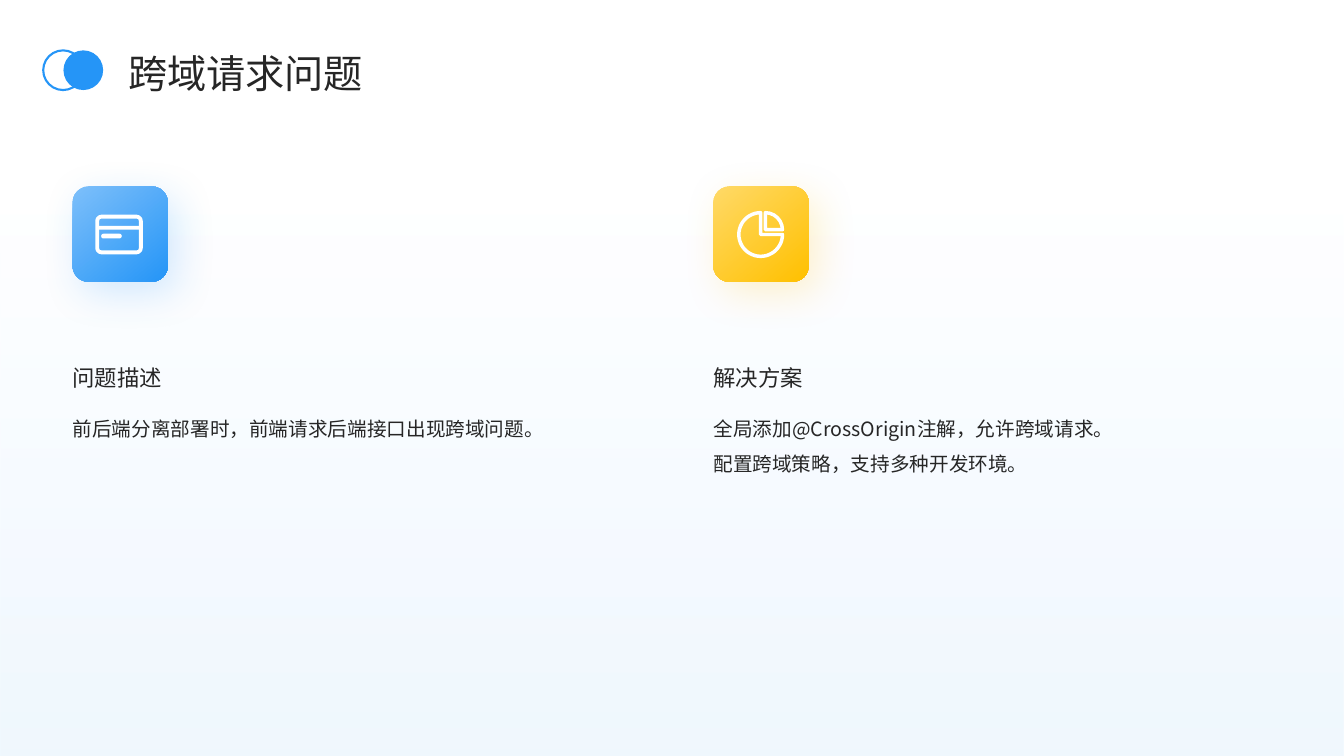
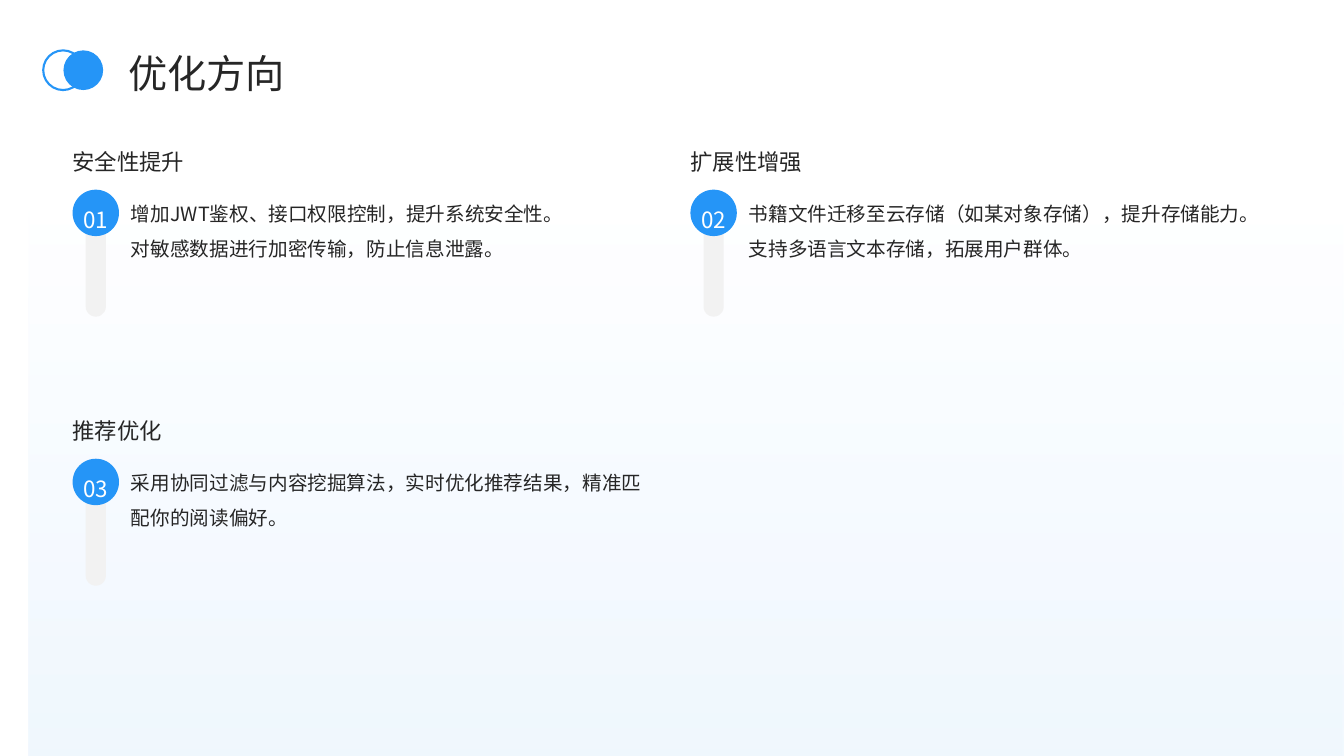
from dataclasses import dataclass

from lxml.etree import SubElement
from pptx import Presentation
from pptx.dml.color import RGBColor
from pptx.enum.shapes import MSO_SHAPE
from pptx.enum.text import MSO_ANCHOR, MSO_AUTO_SIZE, PP_ALIGN
from pptx.oxml import parse_xml
from pptx.oxml.ns import nsdecls, qn
from pptx.util import Cm, Pt


@dataclass(frozen=True)
class Theme:
    """Colours, font and type sizes of the deck."""
    font: str = "Noto Sans CJK SC"
    ink: str = "262626"
    white: str = "FFFFFF"
    blue: str = "2595F7"
    sky: str = "7CBFFA"
    gold: str = "FFC000"
    sand: str = "FFD966"
    mist: str = "D3EAFD"
    grey: str = "F2F2F2"
    title: int = 28
    head: int = 16
    body: int = 14


T = Theme()
WIDE, HIGH = 33.87, 19.05
BODIES = (1, 2, 3, 4)


def place(item, x, y, w, h):
    """Set the box of a shape in centimetres."""
    item.left, item.top, item.width, item.height = Cm(x), Cm(y), Cm(w), Cm(h)


def write(item, lines, size, gap, color=T.ink, anchor=MSO_ANCHOR.MIDDLE, align=PP_ALIGN.LEFT):
    """Write one paragraph, a run for each line."""
    frame = item.text_frame
    frame.word_wrap = True
    frame.auto_size = MSO_AUTO_SIZE.NONE
    frame.vertical_anchor = anchor
    frame.margin_left = frame.margin_right = frame.margin_top = frame.margin_bottom = 0
    para = frame.paragraphs[0]
    props = para._p.get_or_add_pPr()
    props.set("marL", "0")
    props.set("indent", "0")
    SubElement(props, qn("a:buNone"))
    para.alignment, para.line_spacing = align, gap
    para.space_before = Pt(0)
    for num, line in enumerate(lines):
        if num:
            para.add_line_break()
        run = para.add_run()
        run.text = line
        font = run.font
        font.name, font.size, font.bold = T.font, Pt(size), False
        font.color.rgb = RGBColor.from_string(color)
        SubElement(run._r.get_or_add_rPr(), qn("a:ea")).set("typeface", T.font)


def shape(slide, kind, box, fill=None, line=None, width=1.5):
    """Add a flat preset shape."""
    item = slide.shapes.add_shape(kind, *map(Cm, box))
    item.shadow.inherit = False
    if fill:
        item.fill.solid()
        item.fill.fore_color.rgb = RGBColor.from_string(fill)
    else:
        item.fill.background()
    if line:
        item.line.color.rgb = RGBColor.from_string(line)
        item.line.width = Pt(width)
    else:
        item.line.fill.background()
    return item


def blend(item, stops, angle):
    """Give a shape a linear gradient of (place, colour, alpha) stops."""
    marks = "".join(
        f'<a:gs pos="{pos * 1000}"><a:srgbClr val="{color}">'
        f'<a:alpha val="{alpha * 1000}"/></a:srgbClr></a:gs>'
        for pos, color, alpha in stops)
    props = item.element.spPr
    old = props.find(qn("a:noFill"))
    props.replace(old, parse_xml(
        f'<a:gradFill {nsdecls("a")} rotWithShape="1"><a:gsLst>{marks}</a:gsLst>'
        f'<a:lin ang="{angle * 60000}" scaled="0"/></a:gradFill>'))


def glow(item, color):
    """Cast a soft coloured shadow."""
    props = item.element.spPr
    props.replace(props.find(qn("a:effectLst")), parse_xml(
        f'<a:effectLst {nsdecls("a")}><a:outerShdw blurRad="{Pt(30)}" dist="{Pt(10)}" '
        f'dir="3000000" algn="tl" rotWithShape="0"><a:srgbClr val="{color}">'
        f'<a:alpha val="20000"/></a:srgbClr></a:outerShdw></a:effectLst>'))


def head(slide, box, text, gap, anchor):
    """Add a column heading."""
    item = slide.shapes.add_textbox(*map(Cm, box))
    write(item, [text], T.head, gap, anchor=anchor)


def body(slide, idx, box, lines):
    """Fill a body placeholder."""
    item = slide.placeholders[idx]
    place(item, *box)
    write(item, lines, T.body, 1.5, anchor=MSO_ANCHOR.TOP)


def start(deck, title, count, x=0, y=0):
    """Add a slide with wash, title and mark, keeping count bodies."""
    slide = deck.slides.add_slide(deck.slide_layouts[4])
    for idx in BODIES[count:]:
        spare = slide.placeholders[idx].element
        spare.getparent().remove(spare)
    wash = shape(slide, MSO_SHAPE.RECTANGLE, (x, y, WIDE - x, HIGH - y))
    blend(wash, [(0, T.mist, 35), (74, T.white, 37)], 270)
    slide.shapes.element.insert(2, wash.element)
    place(slide.shapes.title, 3.23, 1.12, 27.74, 1.19)
    write(slide.shapes.title, [title], T.title, 1.2)
    shape(slide, MSO_SHAPE.OVAL, (1.09, 1.27, 1, 1), line=T.blue)
    shape(slide, MSO_SHAPE.OVAL, (1.6, 1.27, 1, 1), fill=T.blue)
    return slide


def card(slide, x, y):
    """Draw the card icon in a tile."""
    frame = shape(slide, MSO_SHAPE.ROUNDED_RECTANGLE, (x + 0.62, y + 0.76, 1.1, 0.9),
                  line=T.white, width=2.75)
    frame.adjustments[0] = 0.12
    shape(slide, MSO_SHAPE.RECTANGLE, (x + 0.62, y + 0.99, 1.1, 0.1), fill=T.white)
    dash = shape(slide, MSO_SHAPE.ROUNDED_RECTANGLE, (x + 0.72, y + 1.19, 0.52, 0.12), fill=T.white)
    dash.adjustments[0] = 0.5


def pie(slide, x, y):
    """Draw the pie icon in a tile."""
    shape(slide, MSO_SHAPE.PIE, (x + 0.64, y + 0.66, 1.1, 1.1), line=T.white, width=2.5)
    wedge = shape(slide, MSO_SHAPE.PIE, (x + 0.88, y + 0.66, 0.86, 0.86), line=T.white, width=2.5)
    wedge.adjustments[0], wedge.adjustments[1] = 162, 0


def topic(slide, idx, x, y, text, lines, tints, icon):
    """Place an icon tile with heading and body below."""
    tile = shape(slide, MSO_SHAPE.ROUNDED_RECTANGLE, (x, y, 2.4, 2.4))
    blend(tile, [(1, tints[0], 100), (100, tints[1], 100)], 50)
    glow(tile, tints[1])
    icon(slide, x, y)
    head(slide, (x, y + 3.15, 14.02, 2), text, 1.3, MSO_ANCHOR.BOTTOM)
    body(slide, idx, (x, y + 5.51, 14.02, 5.61), lines)


def step(slide, idx, x, y, text, lines):
    """Place a numbered step with heading, bar and body."""
    bar = shape(slide, MSO_SHAPE.ROUNDED_RECTANGLE, (x + 0.33, y + 1.3, 0.51, 3.12), fill=T.grey)
    bar.adjustments[0] = 0.5
    head(slide, (x, y, 14.58, 0.69), text, 1.5, MSO_ANCHOR.MIDDLE)
    dot = shape(slide, MSO_SHAPE.OVAL, (x, y + 1.22, 1.17, 1.17), fill=T.blue)
    write(dot, [f"{idx:02}"], T.head, 1.5, T.white, align=PP_ALIGN.CENTER)
    body(slide, idx, (x + 1.47, y + 1.22, 13.11, 4.62), lines)


def cross(deck):
    """Build the slide on cross-origin requests."""
    slide = start(deck, "跨域请求问题", 2)
    topics = [
        ("问题描述", ["前后端分离部署时，前端请求后端接口出现跨域问题。"], (T.sky, T.blue), card),
        ("解决方案", ["全局添加@CrossOrigin注解，允许跨域请求。", "配置跨域策略，支持多种开发环境。"],
         (T.sand, T.gold), pie),
    ]
    for num, parts in enumerate(topics):
        topic(slide, num + 1, 1.83 + num * 16.15, 4.7, *parts)


def plan(deck):
    """Build the slide on further work."""
    slide = start(deck, "优化方向", 3, 0.72, 0.33)
    steps = [
        ("安全性提升", ["增加JWT鉴权、接口权限控制，提升系统安全性。", "对敏感数据进行加密传输，防止信息泄露。"]),
        ("扩展性增强", ["书籍文件迁移至云存储（如某对象存储），提升存储能力。", "支持多语言文本存储，拓展用户群体。"]),
        ("推荐优化", ["采用协同过滤与内容挖掘算法，实时优化推荐结果，精准匹配你的阅读偏好。"]),
    ]
    for num, parts in enumerate(steps):
        row, col = divmod(num, 2)
        step(slide, num + 1, 1.83 + col * 15.57, 3.56 + row * 6.78, *parts)


def main():
    """Build and save the deck."""
    deck = Presentation()
    deck.slide_width, deck.slide_height = Cm(WIDE), Cm(HIGH)
    cross(deck)
    plan(deck)
    deck.save("out.pptx")


if __name__ == "__main__":
    main()
